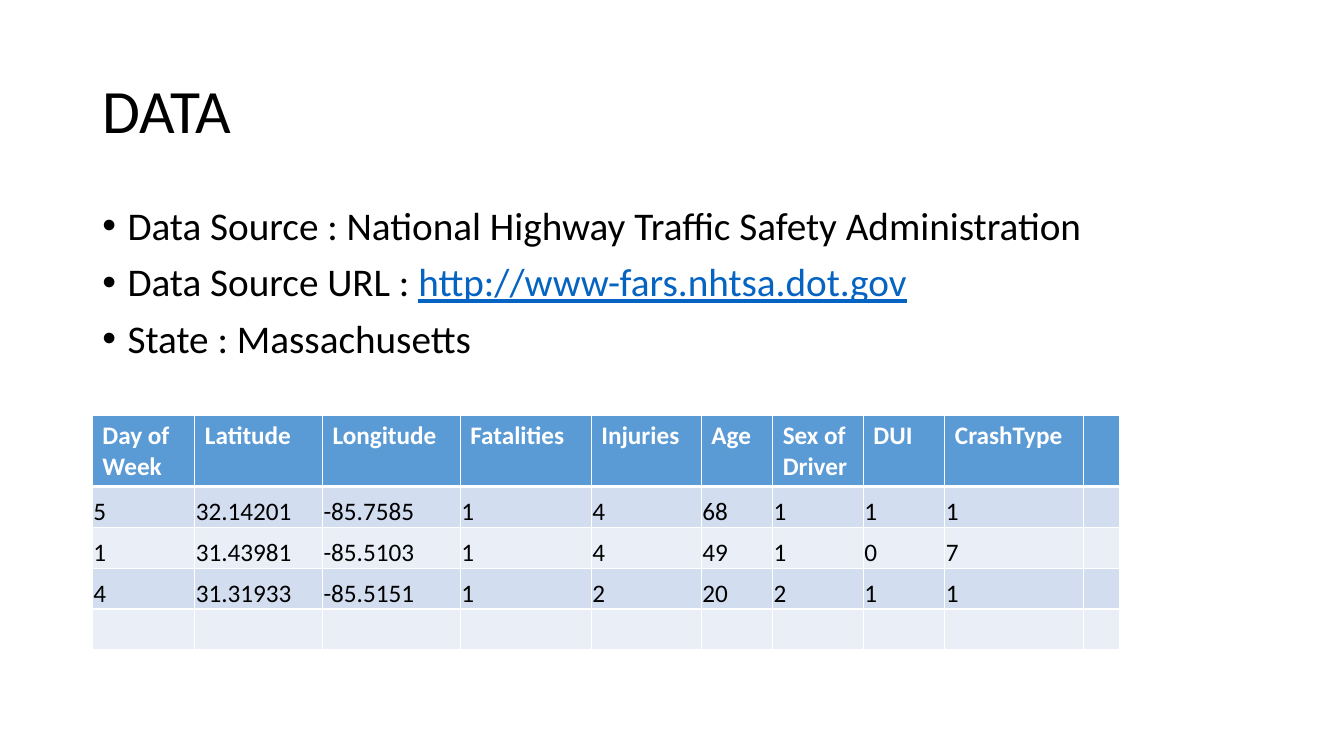
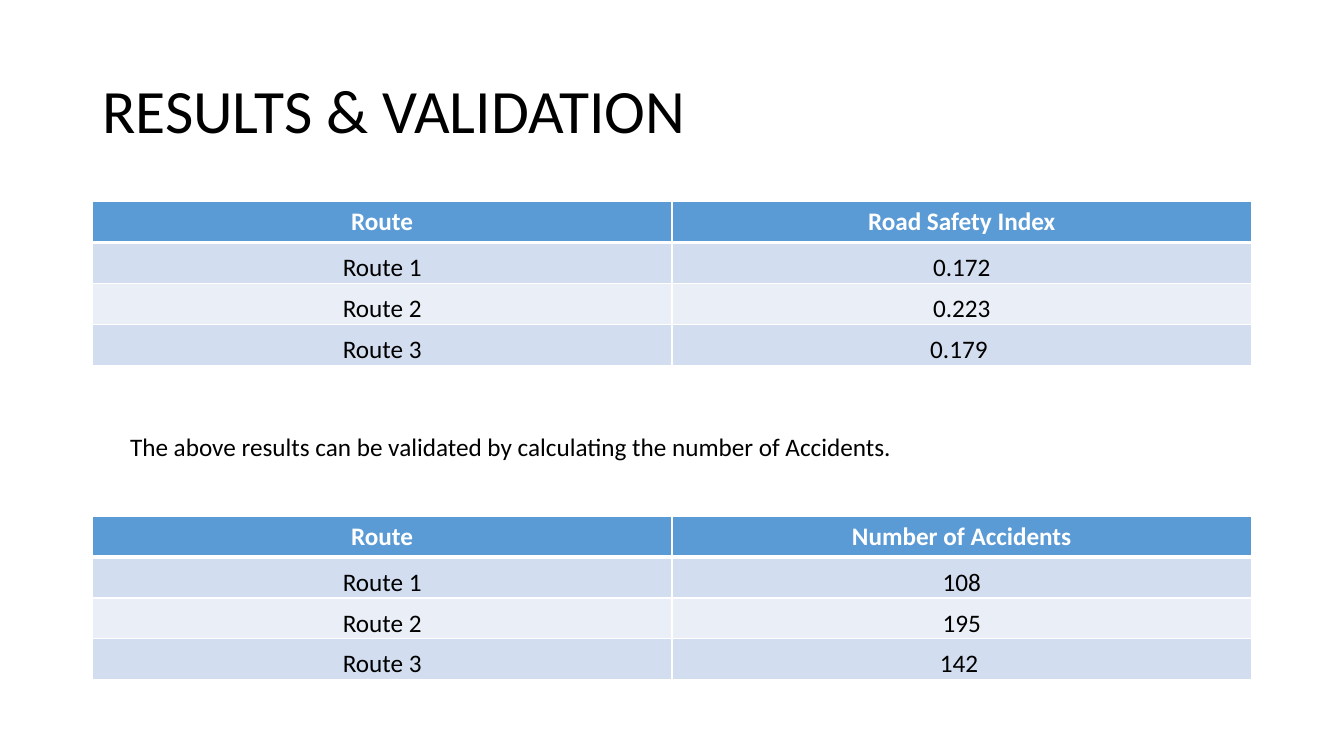
from lxml.etree import SubElement as Sub
from pptx import Presentation
from pptx.dml.color import RGBColor
from pptx.enum.text import MSO_ANCHOR as Anchor, PP_ALIGN as Align
from pptx.oxml.ns import qn
from pptx.util import Inches, Pt

# Shared style: a grid of 160 columns by 90 rows
COLS, ROWS = 160, 90
FONT = "Calibri"
BLACK, WHITE, LINK = "000000", "FFFFFF", "0563C1"
HEAD, BANDS = "5B9BD5", ("D2DEEF", "EAEFF7")
LEFT, WIDE, ROW = 11, 138, 4.87

deck = Presentation()
deck.slide_width, deck.slide_height = Inches(13.333), Inches(7.5)
UNIT = deck.slide_width / COLS


def size(n):
    return round(n * UNIT)


def color(text):
    return RGBColor.from_string(text)


def style(run, pts, tint=BLACK, bold=False, line=False):
    font = run.font
    font.name, font.size, font.bold = FONT, Pt(pts), bold
    font.underline = line
    font.color.rgb = color(tint)


def text_box(slide, box, anchor=Anchor.TOP):
    frame = slide.shapes.add_textbox(*map(size, box)).text_frame
    frame.word_wrap = True
    frame.vertical_anchor = anchor
    return frame


def plain(slide, box, text, pts, anchor=Anchor.TOP, space=1.0):
    frame = text_box(slide, box, anchor)
    frame.text = text
    para = frame.paragraphs[0]
    para.line_spacing = space
    style(para.runs[0], pts)


def start(title):
    slide = deck.slides.add_slide(deck.slide_layouts[6])
    plain(slide, (LEFT, 4.8, WIDE, 17.4), title, 44, Anchor.MIDDLE, 0.9)
    return slide


def bullets(slide, box, items):
    frame = text_box(slide, box)
    for i, parts in enumerate(items):
        para = frame.add_paragraph() if i else frame.paragraphs[0]
        para.line_spacing, para.space_before = 0.9, Pt(10)
        props = para._p.get_or_add_pPr()
        props.set("marL", str(Inches(0.25)))
        props.set("indent", str(-Inches(0.25)))
        Sub(props, qn("a:buFont"), typeface="Arial")
        Sub(props, qn("a:buChar"), char="•")
        for text, tint in parts:
            run = para.add_run()
            run.text = text
            style(run, 28, tint, line=tint == LINK)


def borders(cell, top, base):
    props = cell._tc.get_or_add_tcPr()
    for side, pts in zip("LRTB", (1, 1, top, base)):
        line = Sub(props, qn(f"a:ln{side}"), w=str(Pt(pts)))
        fill = Sub(line, qn("a:solidFill"))
        Sub(fill, qn("a:srgbClr"), val=WHITE)


def fill_cell(cell, r, text, inset, align, space):
    # White rules, thicker under the header
    borders(cell, 3 if r == 1 else 1, 1 if r else 3)
    cell.fill.solid()
    cell.fill.fore_color.rgb = color(BANDS[(r - 1) % 2] if r else HEAD)
    if not text:
        return
    cell.text = text
    para = cell.text_frame.paragraphs[0]
    para.alignment = align
    style(para.runs[0], 18, BLACK if r else WHITE, bold=r == 0)
    if r:
        cell.vertical_anchor = Anchor.BOTTOM
        side, top, base = map(Inches, inset)
        cell.margin_left = cell.margin_right = side
        cell.margin_top, cell.margin_bottom = top, base
        para.line_spacing = space


def grid(slide, spot, widths, rows, inset, align=Align.LEFT, space=1.0):
    box = (*spot, sum(widths), ROW * len(rows))
    table = slide.shapes.add_table(
        len(rows), len(widths), *map(size, box)).table
    table.first_row = table.horz_banding = False
    for col, wide in zip(table.columns, widths):
        col.width = size(wide)
    for r, row in enumerate(rows):
        table.rows[r].height = size(ROW)
        for c, text in enumerate(row):
            fill_cell(table.cell(r, c), r, text, inset, align, space)


def routes(slide, top, label, values):
    rows = [("Route", label)]
    rows += [(f"Route {n}", v) for n, v in enumerate(values, 1)]
    grid(slide, (LEFT, top), [WIDE / 2] * 2, rows, (0.07, 0, 0),
         Align.CENTER, 1.07)


def data_slide():
    slide = start("DATA")
    # Source list
    bullets(slide, (LEFT, 24, WIDE, 57), [
        [("Data Source : National Highway Traffic Safety Administration",
          BLACK)],
        [("Data Source URL : ", BLACK),
         ("http://www-fars.nhtsa.dot.gov", LINK), (" ", BLACK)],
        [("State : Massachusetts ", BLACK)],
    ])
    # Sample of crash records
    widths = (12.2, 15.2, 16.4, 15.6, 13.1, 8.5, 10.8, 9.7, 16.5, 4.3)
    grid(slide, (LEFT, 49.5), widths, [
        ("Day of Week", "Latitude", "Longitude", "Fatalities", "Injuries",
         "Age", "Sex of Driver", "DUI", "CrashType", ""),
        ("5", "32.14201", "-85.7585", "1", "4", "68", "1", "1", "1", ""),
        ("1", "31.43981", "-85.5103", "1", "4", "49", "1", "0", "7", ""),
        ("4", "31.31933", "-85.5151", "1", "2", "20", "2", "1", "1", ""),
        [""] * len(widths),
    ], (0.01, 0.01, 0))


def results_slide():
    slide = start("RESULTS & VALIDATION")
    # Index per route, and the count that backs it
    routes(slide, 24, "Road Safety Index", ("0.172", "0.223", "0.179\u00a0"))
    plain(slide, (14.3, 50.8, 105.7, 4.8),
          "The above results can be validated by calculating the number "
          "of Accidents.", 18)
    routes(slide, 61.45, "Number of Accidents", ("108", "195", "142\u00a0"))


data_slide()
results_slide()
deck.save("out.pptx")
